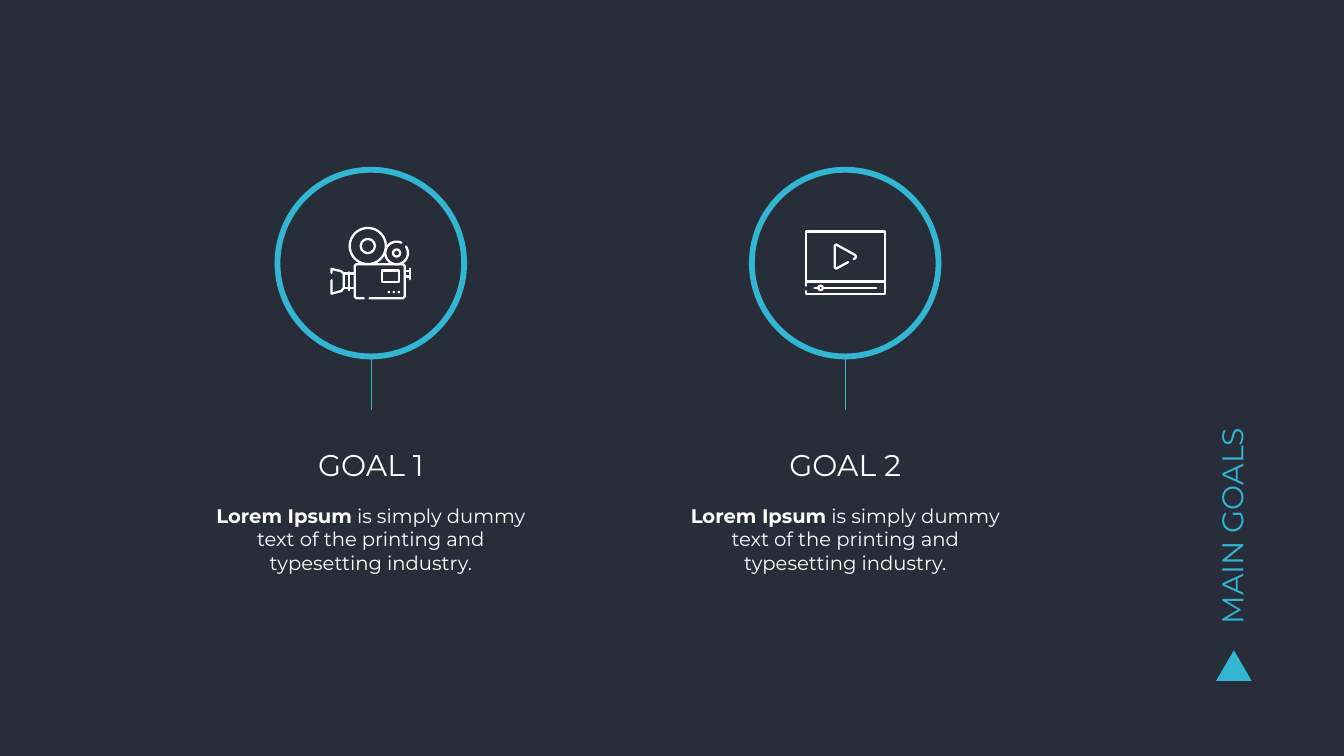
from dataclasses import dataclass
from math import cos, radians, sin

from lxml import etree
from pptx import Presentation
from pptx.dml.color import RGBColor
from pptx.enum.shapes import MSO_CONNECTOR, MSO_SHAPE
from pptx.enum.text import MSO_ANCHOR, MSO_AUTO_SIZE, PP_ALIGN
from pptx.oxml.ns import qn
from pptx.util import Cm, Pt

OVAL, DONUT, TRIANGLE = MSO_SHAPE.OVAL, MSO_SHAPE.DONUT, MSO_SHAPE.ISOSCELES_TRIANGLE
STRAIGHT = MSO_CONNECTOR.STRAIGHT
LEFT, CENTER = PP_ALIGN.LEFT, PP_ALIGN.CENTER
TOP, BOTTOM = MSO_ANCHOR.TOP, MSO_ANCHOR.BOTTOM


@dataclass(frozen=True)
class Theme:
    background: RGBColor = RGBColor(0x27, 0x2E, 0x3A)
    accent: RGBColor = RGBColor(0x33, 0xB6, 0xD2)
    white: RGBColor = RGBColor(0xFF, 0xFF, 0xFF)
    font: str = "Montserrat"
    heading: float = 42.7
    body: float = 28
    icon_line: float = 3.3
    stem_line: float = 0.75


THEME = Theme()


def arc(x, y, r, start=0, stop=360):
    return [(x + r * cos(radians(a)), y + r * sin(radians(a)))
            for a in range(start, stop + 1, 6)]


TITLE = "MAIN GOALS"
BODY = [("Lorem Ipsum", True),
        (" is simply dummy text of the printing and typesetting industry.", False)]

CAMERA = {
    "rings": [(-0.15, -0.86, 0.36), (1.3, -0.51, 0.18)],
    "dots": [(0.91 + 0.25 * i, 1.46, 0.06) for i in range(3)],
    "outlines": [
        [
            arc(-0.15, -0.86, 0.91),
            arc(1.3, -0.51, 0.57, -35, 297),
            [(-0.06, 1.77), (1.63, 1.77), (1.71, 1.69), (1.71, 0.14), (1.63, 0.06),
             (-0.73, 0.06), (-0.81, 0.14), (-0.81, 1.69), (-0.73, 1.77), (-0.36, 1.77)],
            [(-1.98, 0.5), (-1.98, 0.29), (-1.49, 0.41), (-1.36, 0.55), (-1.36, 1.25),
             (-1.49, 1.41), (-1.98, 1.54), (-1.98, 0.86)],
            [(-1.36, 0.53), (-0.81, 0.53)],
            [(-1.36, 1.27), (-0.81, 1.27)],
            [(-1.11, 0.46), (-1.11, 1.37)],
            [(1.97, 0.27), (1.97, 0.81)],
            [(1.71, 0.41), (1.97, 0.41)],
            [(1.71, 0.67), (1.97, 0.67)],
        ],
        [[(0.58, 0.38), (1.41, 0.38), (1.41, 0.97), (0.58, 0.97), (0.58, 0.38)]],
    ],
}
PLAYER = {
    "rings": [],
    "dots": [],
    "outlines": [
        [
            [(-1.97, 1.42), (-1.97, 1.56), (1.99, 1.56), (1.99, -1.59),
             (-1.97, -1.59), (-1.97, 1.14)],
            [(-1.97, 0.93), (1.99, 0.93)],
        ],
        [
            [(0.15, -0.05), (-0.46, 0.28), (-0.53, 0.2), (-0.53, -0.86),
             (-0.46, -0.94), (0.51, -0.4), (0.54, -0.32), (0.51, -0.25), (0.43, -0.2)],
        ],
        [
            [(-1.55, 1.25), (-1.35, 1.25)],
            arc(-1.24, 1.25, 0.11),
            [(-1.13, 1.25), (1.57, 1.25)],
        ],
    ],
}
GOALS = [("GOAL 1", BODY, CAMERA), ("GOAL 2", BODY, PLAYER)]

FIRST_X, PITCH = 18.69, 23.91
CIRCLE_Y, CIRCLE_D = 13.26, 9.7
STEM = 2.54
TEXT_W = 18.49
HEADING_Y, HEADING_H = 20.68, 4.34
BODY_Y, BODY_H = 24.7, 8.38


def set_text(sp, runs, box, size=THEME.heading, color=THEME.white, align=CENTER,
             anchor=BOTTOM, spacing=0.9, rotation=0):
    sp.left, sp.top, sp.width, sp.height = map(Cm, box)
    sp.rotation = rotation
    tf = sp.text_frame
    tf.word_wrap = True
    tf.auto_size = MSO_AUTO_SIZE.NONE
    tf.vertical_anchor = anchor
    tf.margin_left = tf.margin_right = tf.margin_top = tf.margin_bottom = Cm(0.69)
    p = tf.paragraphs[0]
    p.alignment = align
    p.line_spacing = spacing
    p.space_before = Pt(0)
    p_pr = p._p.get_or_add_pPr()
    p_pr.set("marL", "0")
    p_pr.set("indent", "0")
    etree.SubElement(p_pr, qn("a:buNone"))
    for text, bold in runs:
        r = p.add_run()
        r.text = text
        r.font.name = THEME.font
        r.font.size = Pt(size)
        r.font.bold = bold
        r.font.color.rgb = color


def paint(sp, color):
    sp.shadow.inherit = False
    sp.fill.solid()
    sp.fill.fore_color.rgb = color
    sp.line.fill.background()


def outline(sp):
    sp.shadow.inherit = False
    sp.fill.background()
    sp.line.color.rgb = THEME.white
    sp.line.width = Pt(THEME.icon_line)
    ln = sp._element.spPr.find(qn("a:ln"))
    ln.set("cap", "rnd")
    etree.SubElement(ln, qn("a:round"))


def add_disc(shapes, kind, x, y, r):
    return shapes.add_shape(kind, Cm(x - r), Cm(y - r), Cm(2 * r), Cm(2 * r))


def add_outline(shapes, contours, x, y):
    placed = [[(Cm(x + dx), Cm(y + dy)) for dx, dy in points] for points in contours]
    builder = shapes.build_freeform(*placed[0][0])
    for i, (start, *rest) in enumerate(placed):
        if i:
            builder.move_to(*start)
        builder.add_line_segments(rest, close=False)
    outline(builder.convert_to_shape())


def add_icon(s, icon, x, y):
    shapes = s.shapes.add_group_shape().shapes
    for contours in icon["outlines"]:
        add_outline(shapes, contours, x, y)
    for dx, dy, r in icon["rings"]:
        outline(add_disc(shapes, OVAL, x + dx, y + dy, r))
    for dx, dy, r in icon["dots"]:
        paint(add_disc(shapes, OVAL, x + dx, y + dy, r), THEME.white)


def add_stem(s, x, y):
    stem = s.shapes.add_connector(STRAIGHT, Cm(x), Cm(y), Cm(x), Cm(y + STEM))
    stem.line.color.rgb = THEME.accent
    stem.line.width = Pt(THEME.stem_line)
    etree.SubElement(stem._element.spPr, qn("a:effectLst"))


def main():
    prs = Presentation()
    prs.slide_width, prs.slide_height = Cm(67.74), Cm(38.1)
    s = prs.slides.add_slide(prs.slide_layouts.get_by_name("Comparison"))
    s.background.fill.solid()
    s.background.fill.fore_color.rgb = THEME.background

    marker = s.shapes.add_shape(TRIANGLE, Cm(61.29), Cm(32.77), Cm(1.8), Cm(1.55))
    paint(marker, THEME.accent)
    set_text(s.shapes.title, [(TITLE, False)], (47.35, 15.83, 28.42, 4.24),
             color=THEME.accent, align=LEFT, rotation=270)

    for i, (name, body, icon) in enumerate(GOALS):
        x = FIRST_X + i * PITCH
        left = x - TEXT_W / 2
        set_text(s.placeholders[2 * i + 1], [(name, False)],
                 (left, HEADING_Y, TEXT_W, HEADING_H))
        set_text(s.placeholders[2 * i + 2], body, (left, BODY_Y, TEXT_W, BODY_H),
                 size=THEME.body, anchor=TOP, spacing=1.0)
        circle = add_disc(s.shapes, DONUT, x, CIRCLE_Y, CIRCLE_D / 2)
        circle.adjustments[0] = 0.03
        paint(circle, THEME.accent)
        add_stem(s, x, CIRCLE_Y + CIRCLE_D / 2)
        add_icon(s, icon, x, CIRCLE_Y)

    prs.save("out.pptx")


if __name__ == "__main__":
    main()
